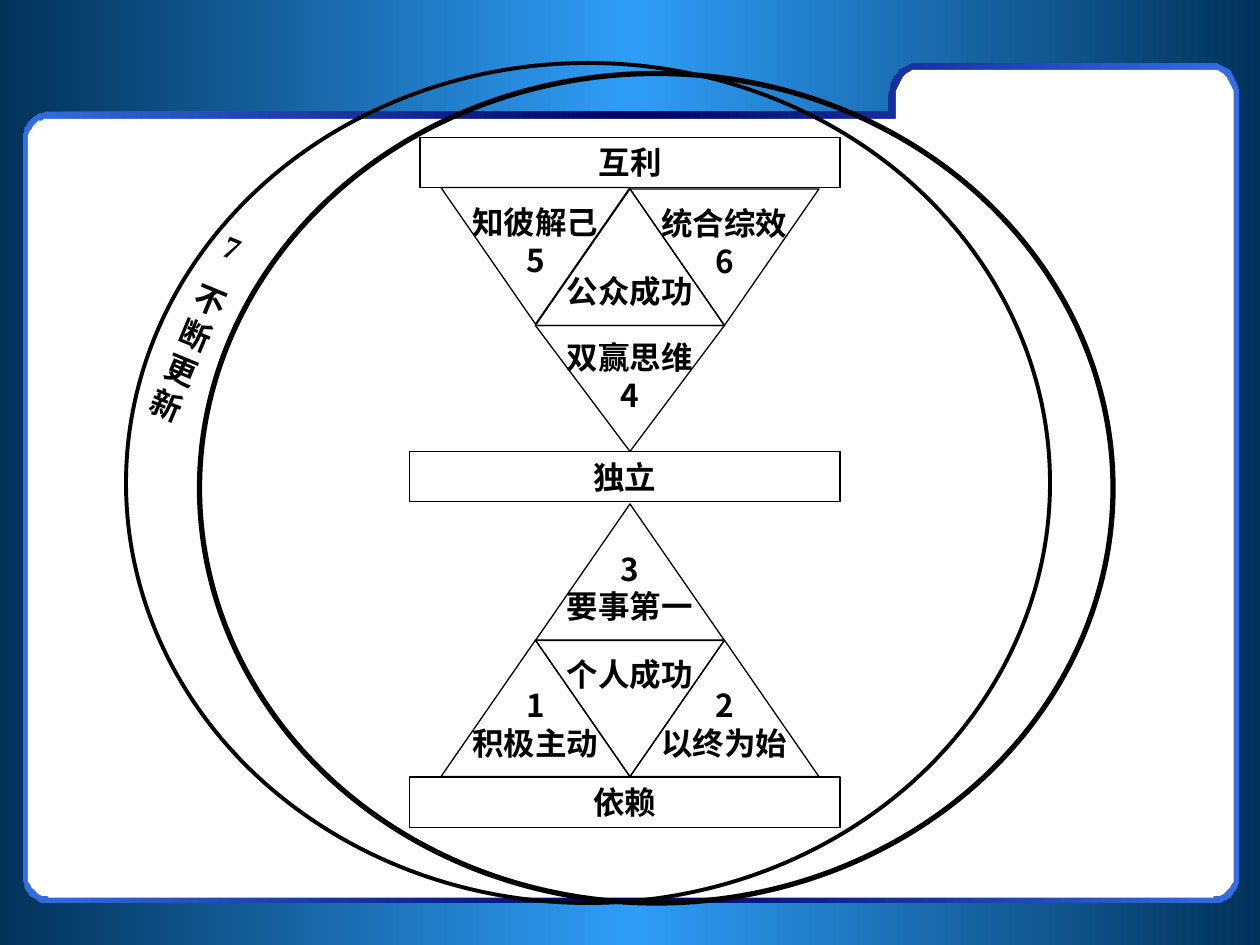
from copy import deepcopy
from math import cos, radians, sin

from lxml import etree
from pptx import Presentation
from pptx.dml.color import RGBColor
from pptx.enum.shapes import MSO_SHAPE as SHAPE
from pptx.enum.text import MSO_ANCHOR as ANCHOR, PP_ALIGN as ALIGN
from pptx.oxml.ns import qn
from pptx.util import Pt

CJK, SERIF = "Noto Sans CJK SC", "Times New Roman"
LINE_H = 21.6  # height of one 18 pt text line
UP, DOWN = SHAPE.FLOWCHART_EXTRACT, SHAPE.FLOWCHART_MERGE


def color(hex_text):
    return RGBColor.from_string(hex_text)


def fill_solid(sp, hex_text):
    sp.fill.solid()
    sp.fill.fore_color.rgb = color(hex_text)


def fill_mirrored(sp, edge, middle):
    """Horizontal gradient that runs edge - middle - edge."""
    sp.fill.gradient()
    sp.fill.gradient_angle = 0
    stop_list = sp._element.spPr.find(qn("a:gradFill")).find(qn("a:gsLst"))
    stop_list.append(deepcopy(stop_list[0]))
    for stop, pos, hex_text in zip(sp.fill.gradient_stops, (0, 0.5, 1), (edge, middle, edge)):
        stop.position = pos
        stop.color.rgb = color(hex_text)


def add_outline(slide, kind, box, width=0.75, fill=None):
    """Black outlined shape, see-through unless a fill is given."""
    sp = slide.shapes.add_shape(kind, *map(Pt, box))
    sp.shadow.inherit = False
    sp.line.color.rgb = color("000000")
    sp.line.width = Pt(width)
    if fill:
        fill_solid(sp, fill)
    else:
        sp.fill.background()
    return sp


def write(sp, text, font, wrap, space_before=0):
    """Centred bold black lines; space goes only between paragraphs."""
    tf = sp.text_frame
    tf.word_wrap = wrap
    tf.text = text
    for i, p in enumerate(tf.paragraphs):
        p.alignment = ALIGN.CENTER
        if i and space_before:
            p.space_before = Pt(space_before)
        for r in p.runs:
            r.font.size = Pt(18)
            r.font.bold = True
            r.font.name = font
            r.font.color.rgb = color("000000")
            etree.SubElement(r._r.rPr, qn("a:ea"), typeface=CJK)
    return tf


def add_triangle(slide, kind, left, top, height, text, fill=None):
    sp = add_outline(slide, kind, (left, top, 108, height), fill=fill)
    tf = write(sp, text, CJK, wrap=False)
    tf.vertical_anchor = ANCHOR.MIDDLE
    # Two-line labels sit half a line nearer the triangle's centre
    if "\n" in text:
        if kind == UP:
            tf.margin_bottom = Pt(3.6 + LINE_H)
        else:
            tf.margin_top = Pt(3.6 + LINE_H)


def add_bar(slide, left, top, width, text):
    sp = add_outline(slide, SHAPE.RECTANGLE, (left, top, width, 28.8))
    write(sp, text, SERIF, wrap=True).vertical_anchor = ANCHOR.TOP


def arc(cx, cy, rx, ry, start):
    """Quarter ellipse, clockwise on the page from the start angle."""
    angles = [radians(start + 7.5 * i) for i in range(13)]
    return [(cx + rx * cos(a), cy + ry * sin(a)) for a in angles]


def add_folder(slide, left, top, right, bottom, tab_left, tab_bottom, r, tab_r):
    """Rounded folder with a raised tab at the right."""
    points = (
        arc(tab_left + r, top + tab_r, r, tab_r, 180)
        + arc(right - r, top + tab_r, r, tab_r, 270)
        + arc(right - r, bottom - r, r, r, 0)
        + arc(left + r, bottom - r, r, r, 90)
        + arc(left + r, tab_bottom + r, r, r, 180)
        + [(tab_left, tab_bottom)]
    )
    builder = slide.shapes.build_freeform(*points[0], scale=Pt(1))
    builder.add_line_segments(points[1:], close=True)
    sp = builder.convert_to_shape()
    sp.shadow.inherit = False
    sp.line.fill.background()
    return sp


def add_backdrop(slide):
    sp = slide.shapes.add_shape(SHAPE.RECTANGLE, 0, 0, Pt(721.4), Pt(540.7))
    sp.shadow.inherit = False
    sp.line.fill.background()
    fill_mirrored(sp, "02325A", "2F9DF7")
    border = add_folder(slide, 13, 36, 708.5, 516.2, 508.3, 64.1, 15.2, 20)
    fill_mirrored(border, "346EE2", "000066")
    paper = add_folder(slide, 16, 39.6, 705, 512.6, 512, 67.7, 12.2, 16.5)
    fill_solid(paper, "FFFFFF")


def add_renewal_label(slide):
    sp = slide.shapes.add_textbox(*map(Pt, (97.2, 123.1, 33.8, 126.7)))
    sp.rotation = 22.5
    write(sp, "7\n不断更新", SERIF, wrap=True, space_before=11.2)


def main():
    prs = Presentation()
    prs.slide_width, prs.slide_height = Pt(720), Pt(540)
    slide = prs.slides.add_slide(prs.slide_layouts[6])
    add_backdrop(slide)

    # Private success: lower triangles
    left, mid, right = 252, 306, 360
    base = 365.8
    add_triangle(slide, UP, left, base, 78, "1\n积极主动", fill="FFFFFF")
    add_triangle(slide, DOWN, mid, base, 78, "个人成功")
    add_triangle(slide, UP, right, base, 78, "2\n以终为始")
    add_triangle(slide, UP, mid, 288, 78, "3\n要事第一")

    # Public success: upper triangles
    add_triangle(slide, UP, mid, 108, 78, "公众成功")
    add_triangle(slide, DOWN, mid, 186, 72, "双赢思维\n4")
    add_triangle(slide, DOWN, left, 107.2, 78, "知彼解己\n5")
    add_triangle(slide, DOWN, right, 108, 78, "统合综效\n6")

    # Stages of maturity
    add_bar(slide, 240, 78.4, 240, "互利")
    add_bar(slide, 234, 258, 246, "独立")
    add_bar(slide, 234, 444, 246, "依赖")

    # Renewal rings
    add_outline(slide, SHAPE.OVAL, (72, 36, 528, 480), width=2.25)
    add_outline(slide, SHAPE.OVAL, (114, 42, 522, 474), width=3)
    add_renewal_label(slide)

    prs.save("out.pptx")


if __name__ == "__main__":
    main()
